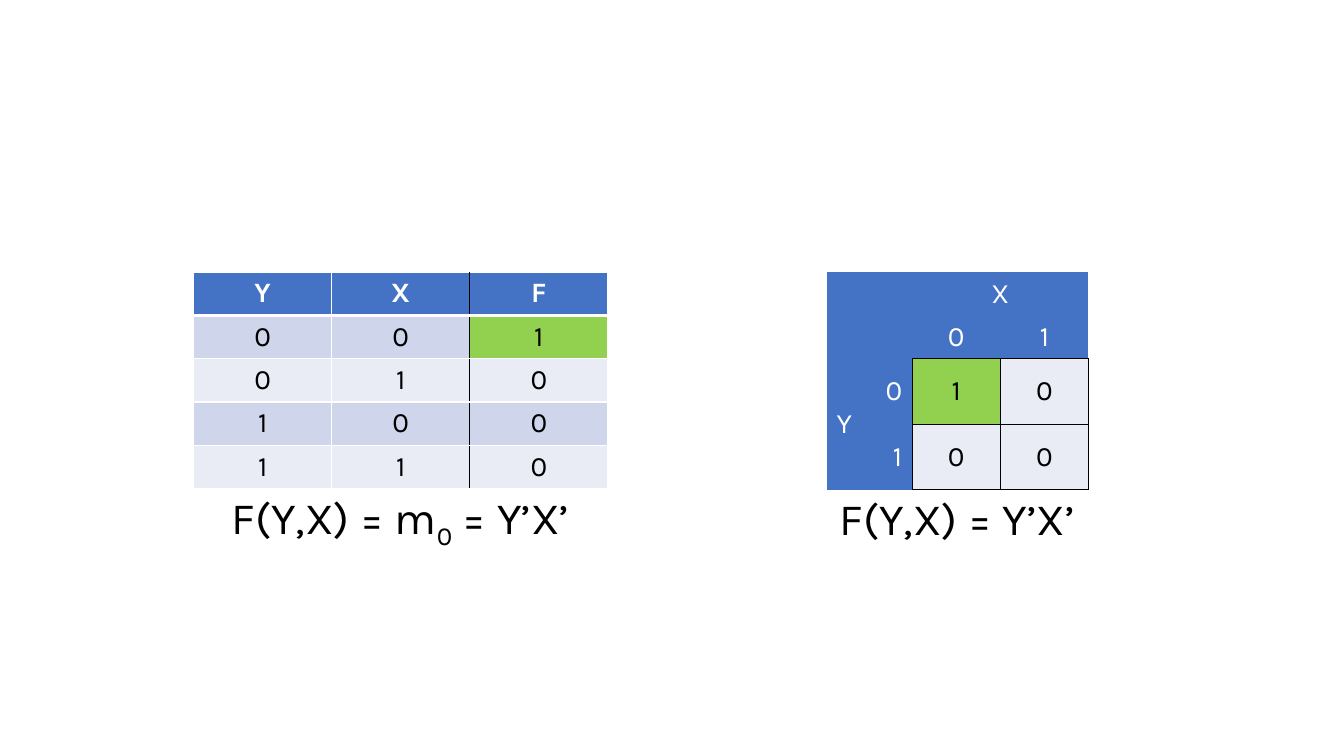
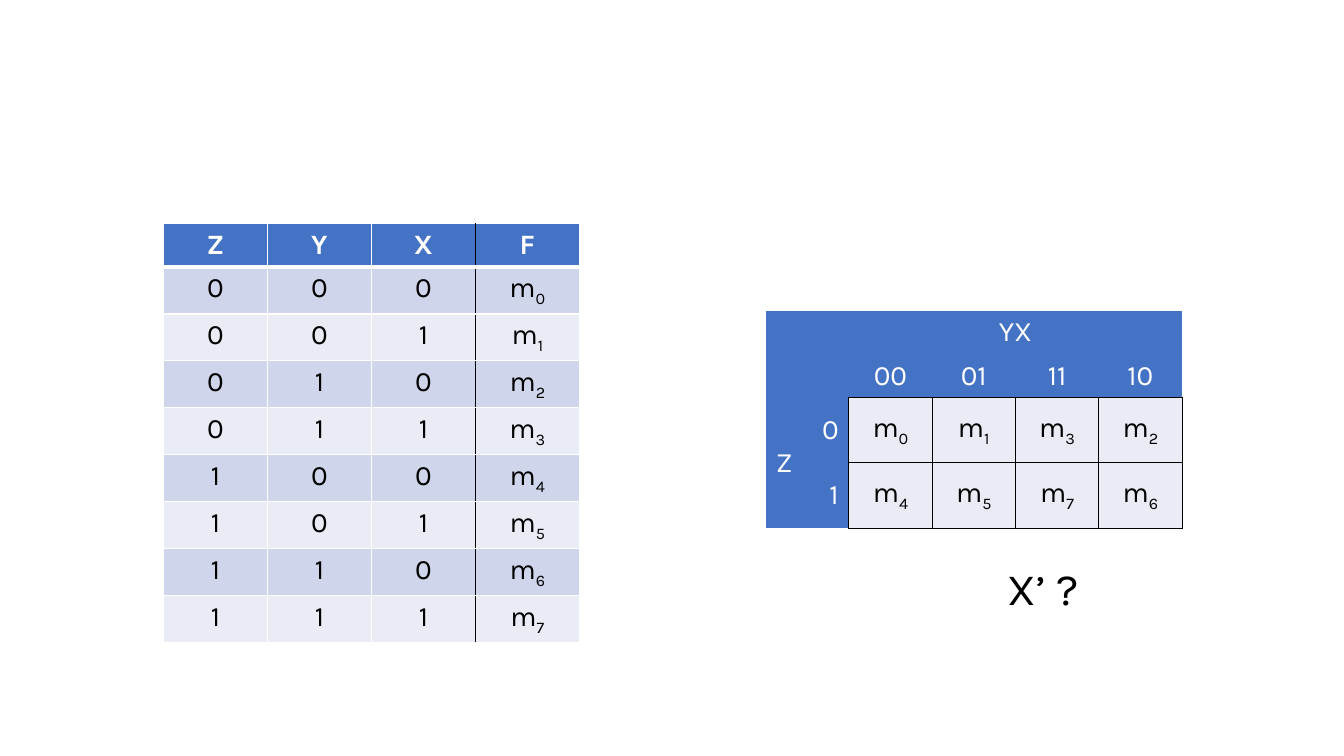
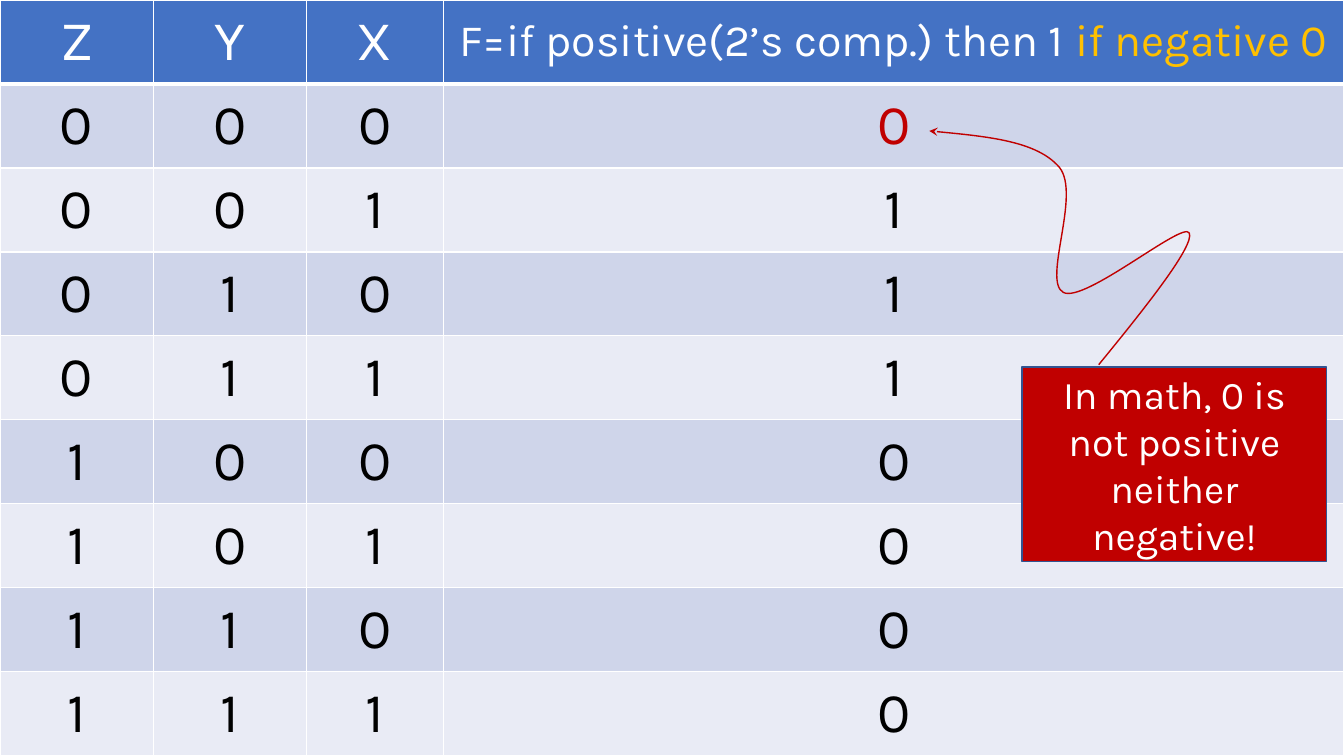
from itertools import product

from lxml.etree import SubElement
from pptx import Presentation
from pptx.dml.color import RGBColor
from pptx.enum.shapes import MSO_SHAPE
from pptx.enum.text import MSO_ANCHOR as Anchor, MSO_AUTO_SIZE as AutoSize, PP_ALIGN as Align
from pptx.oxml.ns import qn
from pptx.util import Cm, Pt

# Shared look
FONT = "Karla"
WHITE, BLACK = "FFFFFF", "000000"
BLUE, GREEN, RED, AMBER, NAVY = "4472C4", "92D050", "C00000", "FFC000", "325491"
BANDS = ["CFD5EA", "E9EBF5"]
PLAIN_STYLE = "{2D5ABB26-0587-4C30-8999-92F81FD0307C}"
ROW, CAPTION_ROW = 1.09, 1.63
THIN, THICK = 1, 3


def rgb(value):
    return RGBColor.from_string(value)


def write(paragraph, text, size, color, bold=False):
    """Add text; the character after an underscore becomes a subscript."""
    first, *others = text.split("_")
    pieces = [(first, False)]
    for part in others:
        pieces += [(part[0], True), (part[1:], False)]
    for piece, lowered in pieces:
        if not piece:
            continue
        run = paragraph.add_run()
        run.text = piece
        for key, value in dict(name=FONT, size=Pt(size), bold=bold).items():
            setattr(run.font, key, value)
        run.font.color.rgb = rgb(color)
        if lowered:
            run.font._rPr.set("baseline", "-25000")


def draw_borders(cell, borders):
    """borders maps a side (L, R, T, B) to a colour and a width in points."""
    properties = cell._tc.get_or_add_tcPr()
    for side in "LRTB":
        if side in borders:
            color, width = borders[side]
            edge = SubElement(properties, qn(f"a:ln{side}"), w=str(Pt(width)))
            SubElement(SubElement(edge, qn("a:solidFill")), qn("a:srgbClr"), val=color)


def paint(cell, text="", size=20, color=BLACK, fill=None, borders=None,
          bold=False, align=Align.CENTER, anchor=Anchor.MIDDLE):
    """Format a cell; text is a string or a list of (string, colour)."""
    draw_borders(cell, borders or {})
    if fill:
        cell.fill.solid()
        cell.fill.fore_color.rgb = rgb(fill)
    else:
        cell.fill.background()
    cell.vertical_anchor = anchor
    paragraph = cell.text_frame.paragraphs[0]
    paragraph.alignment = align
    for piece, piece_color in [(text, color)] if isinstance(text, str) else text:
        write(paragraph, piece, size, piece_color, bold)


def new_table(slide, left, top, widths, heights):
    frame = slide.shapes.add_table(len(heights), len(widths), Cm(left), Cm(top),
                                   Cm(sum(widths)), Cm(sum(heights)))
    table = frame.table
    table.first_row = table.horz_banding = False
    table._tbl.tblPr.find(qn("a:tableStyleId")).text = PLAIN_STYLE
    for column, width in zip(table.columns, widths):
        column.width = Cm(width)
    for row, height in zip(table.rows, heights):
        row.height = Cm(height)
    return table


def add_caption(table, text):
    last = len(table.rows) - 1
    caption = table.cell(last, 0)
    caption.merge(table.cell(last, len(table.columns) - 1))
    paint(caption, text, 32, anchor=Anchor.TOP)


def truth_table(slide, left, top, widths, inputs, heading, outputs, row_height=ROW,
                size=20, heading_size=20, bold=True, divider=BLACK,
                anchor=Anchor.TOP, marked=None, caption=None):
    """Count through all inputs, with one output column on the right."""
    count = len(inputs)
    heights = [row_height] * (len(outputs) + 1) + [CAPTION_ROW] * bool(caption)
    table = new_table(slide, left, top, widths, heights)
    lines = [[*inputs, heading]]
    lines += [[*bits, out] for bits, out in zip(product("01", repeat=count), outputs)]
    for r, line in enumerate(lines):
        for c, text in enumerate(line):
            borders = {side: (WHITE, THIN) for side in "LRTB"}
            if r == 0:
                borders["B"] = (WHITE, THICK)
            if r == 1:
                borders["T"] = (WHITE, THICK)
            if c == count - 1:
                borders["R"] = (divider, THIN)
            if c == count:
                borders["L"] = (divider, THIN)
            fill = BLUE if r == 0 else BANDS[(r - 1) % 2]
            if c == count and r - 1 == marked:
                fill = GREEN
            paint(table.cell(r, c), text, heading_size if (r, c) == (0, count) else size,
                  BLACK if r else WHITE, fill, borders, bold and r == 0, anchor=anchor)
    if caption:
        add_caption(table, caption)


def karnaugh_map(slide, left, top, label_width, cell_width, across, columns,
                 down, minterms, marked=None, caption=None):
    """Two label rows and two label columns around a grid of minterms."""
    widths = [1.09, label_width] + [cell_width] * len(columns)
    heights = [ROW, ROW] + [1.65] * len(minterms) + [CAPTION_ROW] * bool(caption)
    table = new_table(slide, left, top, widths, heights)
    last_row, last_column = len(minterms) + 1, len(columns) + 1
    table.cell(0, 2).merge(table.cell(0, last_column))
    table.cell(2, 0).merge(table.cell(last_row, 0))
    ink = (BLACK, THIN)

    # Labels
    labels = {(0, 2): across, (2, 0): down}
    labels.update({(1, c): text for c, text in enumerate(columns, 2)})
    labels.update({(r, 1): str(r - 2) for r in range(2, last_row + 1)})
    for r, c in product(range(last_row + 1), range(last_column + 1)):
        if r > 1 and c > 1:
            continue
        borders = {"B": ink} if r == 1 and c > 1 else {"R": ink} if c == 1 and r > 1 else {}
        align = Align.CENTER if r < 2 else Align.RIGHT if c else Align.LEFT
        paint(table.cell(r, c), labels.get((r, c), ""), color=WHITE, fill=BLUE,
              borders=borders, align=align, anchor=Anchor.BOTTOM if r < 2 else Anchor.MIDDLE)

    # Minterms
    for r, line in enumerate(minterms, 2):
        sides = "LRT" if caption and r == last_row else "LRTB"
        for c, text in enumerate(line, 2):
            paint(table.cell(r, c), text, borders=dict.fromkeys(sides, ink),
                  fill=GREEN if (r - 2, c - 2) == marked else BANDS[1])
    if caption:
        add_caption(table, caption)


def question(slide, left, top, text):
    box = slide.shapes.add_textbox(Cm(left), Cm(top), Cm(2.54), Cm(CAPTION_ROW))
    box.text_frame.auto_size = AutoSize.SHAPE_TO_FIT_TEXT
    write(box.text_frame.paragraphs[0], text, 32, BLACK)


def curved_arrow(slide, left, top, points):
    """Draw cubic curves: a start, then two controls and an end for each."""
    spots = [(Cm(left + x), Cm(top + y)) for x, y in points]
    builder = slide.shapes.build_freeform(*spots[0])
    builder.add_line_segments(spots[1:], close=False)
    arrow = builder.convert_to_shape()
    arrow.shadow.inherit = False
    arrow.fill.background()
    arrow.line.color.rgb = rgb(RED)
    arrow.line.width = Pt(1)
    SubElement(arrow.line._get_or_add_ln(), qn("a:tailEnd"), type="stealth")
    outline = next(arrow._element.iter(qn("a:path")))
    segments = outline.findall(qn("a:lnTo"))
    for start in range(0, len(segments), 3):
        curve = SubElement(outline, qn("a:cubicBezTo"))
        for segment in segments[start:start + 3]:
            curve.append(segment[0])
            outline.remove(segment)


def remark(slide, left, top, width, height, text):
    """A red note with a winding arrow that leaves its top edge."""
    curved_arrow(slide, left, top, [
        (1.93, -0.06),
        (3.15, -1.55), (4.36, -3.08), (4.21, -3.38),
        (4.06, -3.69), (1.57, -1.6), (1.04, -1.88),
        (0.5, -2.16), (1.49, -4.35), (0.94, -5.03),
        (0.38, -5.69), (-0.97, -5.82), (-2.34, -5.95)])
    note = slide.shapes.add_shape(MSO_SHAPE.RECTANGLE, Cm(left), Cm(top), Cm(width), Cm(height))
    note.shadow.inherit = False
    note.fill.solid()
    note.fill.fore_color.rgb = rgb(RED)
    note.line.color.rgb = rgb(NAVY)
    note.line.width = Pt(1)
    note.text_frame.word_wrap = True
    note.text_frame.vertical_anchor = Anchor.MIDDLE
    paragraph = note.text_frame.paragraphs[0]
    paragraph.alignment = Align.CENTER
    write(paragraph, text, 28, WHITE)


def two_variables(slide):
    truth_table(slide, 4.88, 6.86, [3.48] * 3, "YX", "F", "1000", marked=0,
                caption="F(Y,X) = m_0 = Y’X’")
    karnaugh_map(slide, 20.83, 6.86, 1.07, 2.22, "X", ["0", "1"], "Y", ["10", "00"],
                 marked=(0, 0), caption="F(Y,X) = Y’X’")


def three_variables(slide):
    truth_table(slide, 4.12, 5.64, [2.62] * 4, "ZYX", "F", [f"m_{i}" for i in range(8)])
    minterms = [[f"m_{i}" for i in order] for order in ("0132", "4576")]
    karnaugh_map(slide, 19.3, 7.83, 1, 2.1, "YX", ["00", "01", "11", "10"], "Z", minterms)
    question(slide, 25.15, 14, "X’ ?")


def sign_function(slide):
    heading = [("F=if positive(2’s comp.) then 1 ", WHITE), ("if negative 0", AMBER)]
    truth_table(slide, 0, 0, [3.86, 3.86, 3.45, 22.7], "ZYX", heading,
                [[("0", RED)], *"1110000"], row_height=19.05 / 9, size=40,
                heading_size=32, bold=False, divider=WHITE, anchor=Anchor.MIDDLE)
    remark(slide, 25.76, 9.25, 7.67, 4.9, "In math, 0 is not positive neither negative!")


def main():
    deck = Presentation()
    deck.slide_width, deck.slide_height = Cm(33.87), Cm(19.05)
    for build in (two_variables, three_variables, sign_function):
        build(deck.slides.add_slide(deck.slide_layouts[6]))
    deck.save("out.pptx")


if __name__ == "__main__":
    main()
